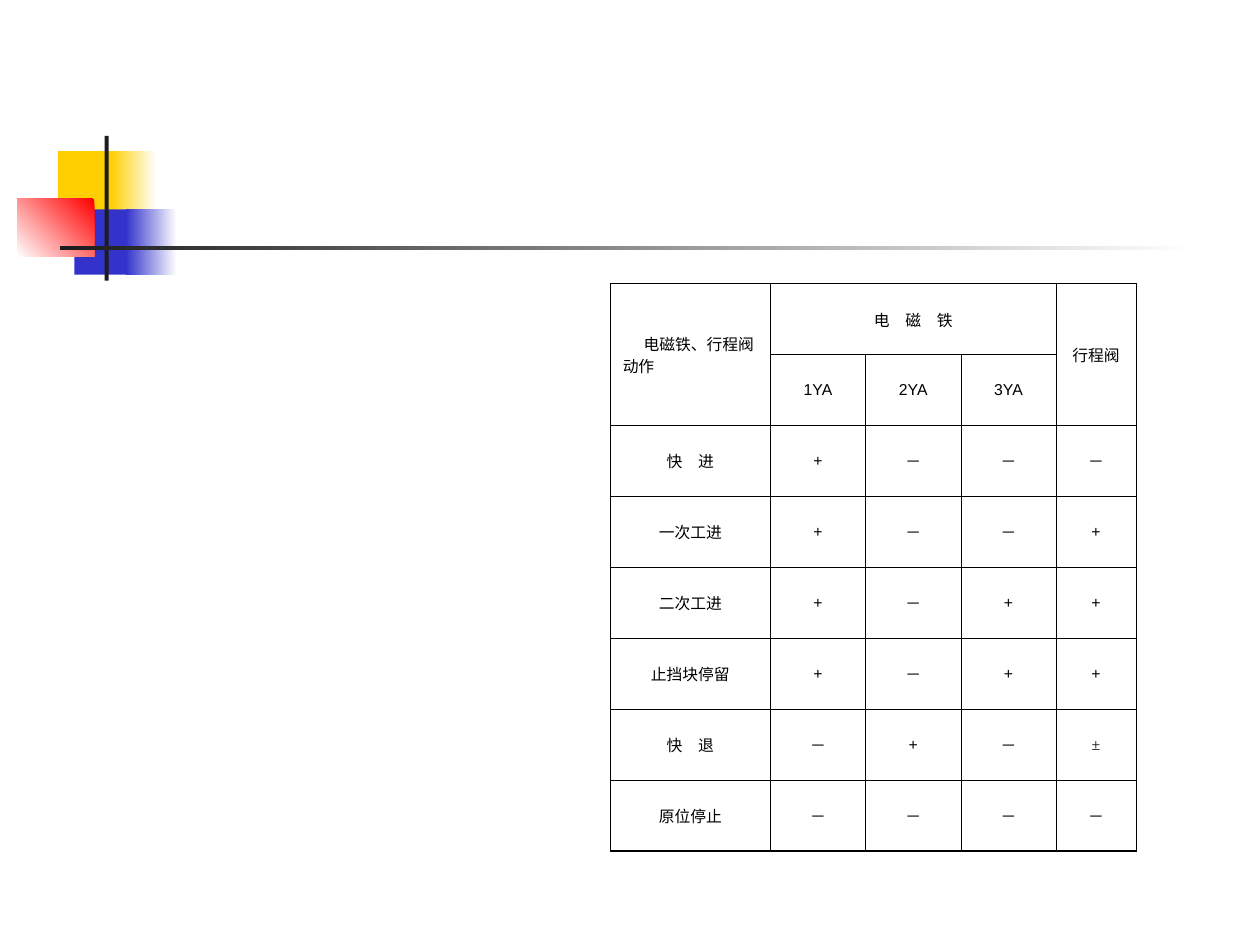
from lxml import etree
from pptx import Presentation
from pptx import util as u
from pptx.dml.color import RGBColor
from pptx.enum import shapes, text
from pptx.oxml.ns import qn

WHITE, BLACK, DARK = "FFFFFF", "000000", "1C1C1C"
YELLOW, BLUE, RED = "FFCF01", "3333CC", "FF0000"

ORNAMENTS = [
    ((1.17, 3.05, 1.22, 1.32), [YELLOW], 0),
    ((2.24, 3.05, 0.91, 1.32), [WHITE, YELLOW], 180),
    ((1.5, 4.22, 1.17, 1.32), [BLUE], 0),
    ((2.54, 4.22, 1.02, 1.32), [WHITE, BLUE], 180),
    ((0.35, 4.01, 1.55, 1.17), [RED, WHITE], 225),
    ((2.11, 2.74, 0.08, 2.92), [DARK], 0),
    ((1.22, 4.95, 22.86, 0.09), [WHITE, DARK], 180),
]

ROWS = [
    ["电磁铁、行程阀\n动作", "电　磁　铁", "", "", "行程阀"],
    ["", "1YA", "2YA", "3YA", ""],
    ["快　进", "+", "－", "－", "－"],
    ["一次工进", "+", "－", "－", "+"],
    ["二次工进", "+", "－", "+", "+"],
    ["止挡块停留", "+", "－", "+", "+"],
    ["快　退", "－", "+", "－", "±"],
    ["原位停止", "－", "－", "－", "－"],
]
MERGES = [((0, 0), (1, 0)), ((0, 1), (0, 3)), ((0, 4), (1, 4))]
COLUMN_WIDTHS = [3.23, 1.92, 1.92, 1.92, 1.61]
ROW_HEIGHT = 1.43
TABLE_LEFT, TABLE_TOP = 12.3, 5.72
THIN, SIDE, THICK = 0.45, 0.34, 0.96


def color(value):
    return RGBColor.from_string(value)


def add_ornament(slide, place, colors, angle):
    shape = slide.shapes.add_shape(
        shapes.MSO_SHAPE.RECTANGLE, *[u.Cm(value) for value in place])
    shape.shadow.inherit = False
    shape.line.fill.background()
    if len(colors) == 1:
        shape.fill.solid()
        shape.fill.fore_color.rgb = color(colors[0])
        return
    shape.fill.gradient()
    shape.fill.gradient_angle = angle
    for position, (stop, value) in enumerate(zip(shape.fill.gradient_stops, colors)):
        stop.position = position
        stop.color.rgb = color(value)


def set_borders(cell, widths):
    properties = cell._tc.get_or_add_tcPr()
    for side, width in widths.items():
        line = etree.SubElement(properties, qn(f"a:ln{side}"), w=str(u.Pt(width)))
        fill = etree.SubElement(line, qn("a:solidFill"))
        etree.SubElement(fill, qn("a:srgbClr"), val=BLACK)


def fill_cell(cell, content):
    cell.fill.background()
    cell.vertical_anchor = text.MSO_ANCHOR.MIDDLE
    if not content:
        return
    cell.text_frame.text = content
    for para in cell.text_frame.paragraphs:
        para.alignment = text.PP_ALIGN.CENTER
        for span in para.runs:
            span.font.size = u.Pt(9)
            span.font.name = "Arial" if span.text.isascii() else "Times New Roman"
            span.font.color.rgb = color(BLACK)


def add_action_table(slide):
    last_row, last_column = len(ROWS) - 1, len(COLUMN_WIDTHS) - 1
    table = slide.shapes.add_table(
        len(ROWS), len(COLUMN_WIDTHS), u.Cm(TABLE_LEFT), u.Cm(TABLE_TOP),
        u.Cm(sum(COLUMN_WIDTHS)), u.Cm(ROW_HEIGHT * len(ROWS))).table
    table.first_row = table.horz_banding = False
    for column, width in zip(table.columns, COLUMN_WIDTHS):
        column.width = u.Cm(width)
    for row in table.rows:
        row.height = u.Cm(ROW_HEIGHT)
    for first, last in MERGES:
        table.cell(*first).merge(table.cell(*last))
    for r, row in enumerate(ROWS):
        for c, content in enumerate(row):
            cell = table.cell(r, c)
            set_borders(cell, {
                "L": SIDE if c == 0 else THIN,
                "R": SIDE if c == last_column else THIN,
                "T": THICK if r == 0 else THIN,
                "B": THICK if r == last_row else THIN,
            })
            fill_cell(cell, content)
    corner = table.cell(0, 0).text_frame.paragraphs
    for para in corner:
        para.alignment = text.PP_ALIGN.LEFT
    corner[0]._p.get_or_add_pPr().set("indent", str(u.Cm(0.42)))


def main():
    deck = Presentation()
    deck.slide_width, deck.slide_height = u.Cm(25.4), u.Cm(19.05)
    page = deck.slides.add_slide(deck.slide_layouts[6])
    for place, colors, angle in ORNAMENTS:
        add_ornament(page, place, colors, angle)
    add_action_table(page)
    deck.save("out.pptx")


if __name__ == "__main__":
    main()
